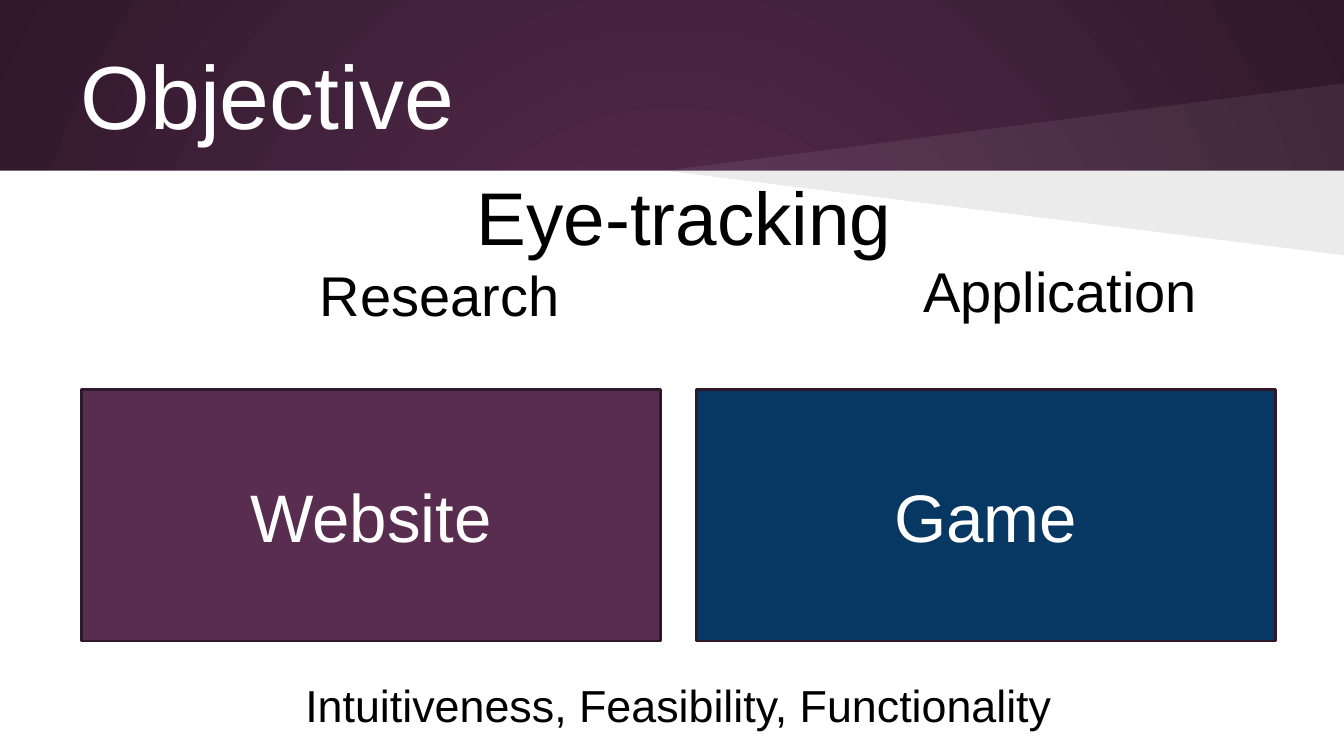
import dataclasses

import pptx
import pptx.dml.color
import pptx.enum.shapes
import pptx.enum.text
import pptx.oxml
import pptx.oxml.ns
import pptx.util

ALIGN = pptx.enum.text.PP_ALIGN
ANCHOR = pptx.enum.text.MSO_ANCHOR
CELL = pptx.util.Inches(0.1)
COLS, ROWS = 100, 56.25
EDGE = 12.7


@dataclasses.dataclass(frozen=True)
class Theme:
    font: str = "Arial"
    plum: str = "592D50"
    dark: str = "30182B"
    navy: str = "073763"
    white: str = "FFFFFF"
    black: str = "000000"
    title: int = 48
    lead: int = 40
    card: int = 36
    pair: int = 30
    note: int = 24


def grid(*units):
    return [round(unit * CELL) for unit in units]


def color(code):
    return pptx.dml.color.RGBColor.from_string(code)


def node(tag, **attrs):
    item = pptx.oxml.parse_xml(f"<{tag} {pptx.oxml.ns.nsdecls('a')}/>")
    for name, value in attrs.items():
        item.set(name, str(value))
    return item


def write(para, text, font, size, ink, align=ALIGN.CENTER, inset=0):
    run = para.add_run()
    run.text = text
    run.font.name = font
    run.font.size = pptx.util.Pt(size)
    run.font.color.rgb = color(ink)
    para.alignment = align
    para.space_before = pptx.util.Pt(0)
    props = para._p.get_or_add_pPr()
    props.set("marL", str(grid(inset)[0]))
    props.set("indent", "0")
    props.append(node("a:buNone"))


class Deck:
    def __init__(self, theme):
        self.theme = theme
        self.file = pptx.Presentation()
        self.file.slide_width, self.file.slide_height = grid(COLS, ROWS)
        self.slide = self.file.slides.add_slide(self.file.slide_layouts[1])
        self.shapes = self.slide.shapes

    def glow(self, inner, outer):
        fill = self.slide.background.fill
        fill.gradient()
        for stop, code in zip(fill.gradient_stops, (inner, outer)):
            stop.color.rgb = color(code)
        grad = self.slide.element.find(".//" + pptx.oxml.ns.qn("a:gradFill"))
        grad.remove(grad.find(pptx.oxml.ns.qn("a:lin")))
        path = node("a:path", path="circle")
        path.append(node("a:fillToRect", l=50000, t=50000, r=50000, b=50000))
        grad.append(path)

    def paint(self, shape, fill, line=None, alpha=None):
        shape.shadow.inherit = False
        shape.fill.solid()
        shape.fill.fore_color.rgb = color(fill)
        if alpha:
            tint = shape.element.find(".//" + pptx.oxml.ns.qn("a:srgbClr"))
            tint.append(node("a:alpha", val=alpha * 1000))
        if line:
            shape.line.color.rgb = color(line)
            shape.line.width = pptx.util.Pt(1.5)
        else:
            shape.line.fill.background()

    def frame(self, shape, anchor):
        frame = shape.text_frame
        frame.word_wrap = True
        frame.auto_size = pptx.enum.text.MSO_AUTO_SIZE.NONE
        frame.vertical_anchor = anchor
        frame.margin_left = frame.margin_right = CELL
        frame.margin_top = frame.margin_bottom = CELL
        return frame

    def text(self, para, text, size, ink, **look):
        write(para, text, font=self.theme.font, size=size, ink=ink, **look)

    def box(self, place, fill, line=None):
        kind = pptx.enum.shapes.MSO_SHAPE.RECTANGLE
        shape = self.shapes.add_shape(kind, *grid(*place))
        self.paint(shape, fill, line)
        return shape

    def ray(self, tip, end, fill, alpha):
        path = self.shapes.build_freeform(*grid(COLS, EDGE))
        path.add_line_segments([grid(tip, EDGE), grid(COLS, end)], close=True)
        self.paint(path.convert_to_shape(), fill, alpha=alpha)

    def holder(self, index, place, anchor):
        shape = self.slide.placeholders[index]
        shape.left, shape.top, shape.width, shape.height = grid(*place)
        self.shapes.element.append(shape.element)
        return self.frame(shape, anchor)

    def card(self, place, text, fill):
        shape = self.box(place, fill, self.theme.dark)
        para = self.frame(shape, ANCHOR.MIDDLE).paragraphs[0]
        self.text(para, text, self.theme.card, self.theme.white)

    def label(self, place, text, size, **look):
        shape = self.shapes.add_textbox(*grid(*place))
        para = self.frame(shape, ANCHOR.TOP).paragraphs[0]
        self.text(para, text, size, self.theme.black, **look)


def main():
    theme = Theme()
    deck = Deck(theme)
    deck.glow(theme.plum, theme.dark)
    deck.box((0, EDGE, COLS, ROWS - EDGE), theme.white)
    deck.ray(49.5, 6.2, theme.white, 7)
    deck.ray(49.5, 19, theme.black, 8)

    title = deck.holder(0, (5, 2.3, 90, 9.4), ANCHOR.MIDDLE)
    deck.text(title.paragraphs[0], "Objective", theme.title, theme.white, align=ALIGN.LEFT)

    body = deck.holder(1, (4.5, 11.7, 92.8, 16.7), ANCHOR.TOP)
    deck.text(body.paragraphs[0], "Eye-tracking", theme.lead, theme.black)
    deck.text(body.add_paragraph(), "Research", theme.pair, theme.black,
              align=ALIGN.LEFT, inset=18.3)
    deck.label((67.7, 18.1, 24, 6.5), "Application", theme.pair, align=ALIGN.LEFT)

    left, wide, step = 6.05, 43.1, 45.75
    cards = (("Website", theme.plum), ("Game", theme.navy))
    for index, (text, fill) in enumerate(cards):
        deck.card((left + index * step, 29, wide, 18.7), text, fill)
    deck.label((left, 49.4, step + wide, 5),
               "Intuitiveness, Feasibility, Functionality", theme.note)
    deck.file.save("out.pptx")


if __name__ == "__main__":
    main()
